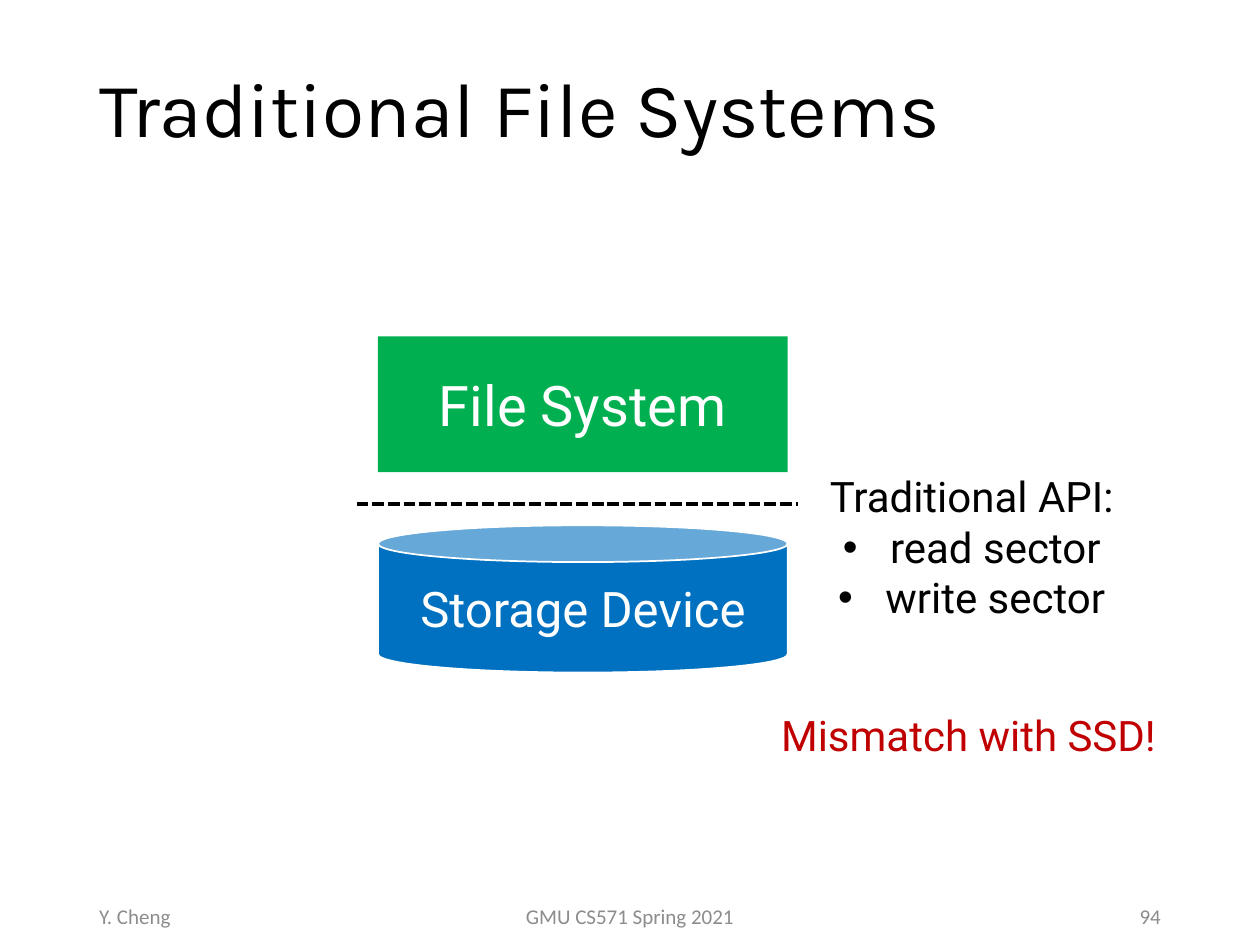
import dataclasses

import lxml.etree
import pptx
import pptx.dml.color
import pptx.enum.dml
import pptx.enum.shapes
import pptx.enum.text
import pptx.oxml.ns
import pptx.util

Cm = pptx.util.Cm
Pt = pptx.util.Pt
Align = pptx.enum.text.PP_ALIGN
Anchor = pptx.enum.text.MSO_ANCHOR
Kind = pptx.enum.shapes.MSO_SHAPE


@dataclasses.dataclass(frozen=True)
class Theme:
    """Colours, faces and type sizes of the slide."""
    ink: str = "000000"
    paper: str = "FFFFFF"
    green: str = "00B050"
    blue: str = "0070C0"
    red: str = "C00000"
    grey: str = "8C8C8C"
    head: str = "Karla"
    body: str = "Roboto"
    foot: str = "Calibri"
    title: int = 44
    large: int = 32
    mid: int = 28
    note: int = 24
    small: int = 12


def tint(code):
    """Turn a hex code into a colour."""
    return pptx.dml.color.RGBColor.from_string(code)


def apply(item, form):
    """Set each value of a format on an item."""
    for name, value in form.items():
        setattr(item, name, value)


def add(parent, tag, **attrs):
    """Append a drawing element to a parent."""
    return lxml.etree.SubElement(parent, pptx.oxml.ns.qn(tag), attrs)


class Deck:
    """Holds the style and the current slide."""

    def __init__(self, theme):
        """Start a deck with one blank slide."""
        self.theme = theme
        self.file = pptx.Presentation()
        apply(self.file, {"slide_width": Cm(25.4), "slide_height": Cm(19.05)})
        self.slide = self.file.slides.add_slide(self.file.slide_layouts[6])

    def fill(self, shape, lines, face, size, color, align=Align.CENTER,
             anchor=Anchor.MIDDLE, lead=None, marks=()):
        """Fill a shape with styled lines, bulleting those in marks."""
        frame = shape.text_frame
        apply(frame, {"word_wrap": True, "vertical_anchor": anchor})
        for index, line in enumerate(lines):
            para = frame.add_paragraph() if index else frame.paragraphs[0]
            apply(para, {"alignment": align, "line_spacing": lead})
            if index in marks:
                self.mark(para)
            run = para.add_run()
            run.text = line
            apply(run.font, {"name": face, "size": Pt(size)})
            run.font.color.rgb = tint(color)

    def mark(self, para):
        """Give a paragraph a hanging bullet."""
        props = para._p.get_or_add_pPr()
        hang = Cm(0.95)
        props.set("marL", str(hang))
        props.set("indent", str(-hang))
        add(props, "a:buFont", typeface="Arial")
        add(props, "a:buChar", char="•")

    def text(self, box, lines, *style, **form):
        """Add a text box."""
        shape = self.slide.shapes.add_textbox(*map(Cm, box))
        self.fill(shape, lines, *style, **form)

    def block(self, kind, box, label, size, color, edge=None):
        """Add a filled shape with a label."""
        shape = self.slide.shapes.add_shape(kind, *map(Cm, box))
        shape.shadow.inherit = False
        shape.fill.solid()
        shape.fill.fore_color.rgb = tint(color)
        if edge:
            shape.line.color.rgb = tint(edge)
            shape.line.width = Pt(1)
        else:
            shape.line.fill.background()
        self.fill(shape, [label], self.theme.body, size, self.theme.paper)

    def dash(self, left, right, top):
        """Add a level dashed line."""
        line = self.slide.shapes.add_connector(
            pptx.enum.shapes.MSO_CONNECTOR.STRAIGHT,
            Cm(left), Cm(top), Cm(right), Cm(top))
        line.line.color.rgb = tint(self.theme.ink)
        apply(line.line, {
            "width": Pt(2.25),
            "dash_style": pptx.enum.dml.MSO_LINE.SQUARE_DOT})
        add(line._element.spPr, "a:effectLst")


def main():
    """Build the slide and save it."""
    look = Theme()
    deck = Deck(look)
    deck.text((1.75, 0.43, 21.9, 3.68), ["Traditional File Systems"],
              look.head, look.title, look.ink, align=Align.LEFT, lead=0.9)

    left, width = 7.62, 8.26
    deck.block(Kind.RECTANGLE, (left, 6.78, width, 2.74),
               "File System", look.large, look.green)
    deck.block(Kind.CAN, (left, 10.59, width, 2.97),
               "Storage Device", look.mid, look.blue, look.paper)
    deck.dash(7.19, 16.08, 10.16)

    note = look.body, look.note
    deck.text((15.88, 9.37, 7.42, 3.33),
              ["Traditional API:", "read sector", "write sector"],
              *note, look.ink, anchor=Anchor.TOP, marks=(1, 2))
    deck.text((14.71, 14.17, 9.63, 1.27), ["Mismatch with SSD!"],
              *note, look.red, anchor=Anchor.TOP)

    for start, span, label, align in (
            (8.41, 8.58, "GMU CS571 Spring 2021", Align.CENTER),
            (1.75, 5.72, "Y. Cheng", Align.LEFT),
            (17.93, 5.72, "94", Align.RIGHT)):
        deck.text((start, 17.96, span, 1.02), [label],
                  look.foot, look.small, look.grey, align=align)
    deck.file.save("out.pptx")


if __name__ == "__main__":
    main()
